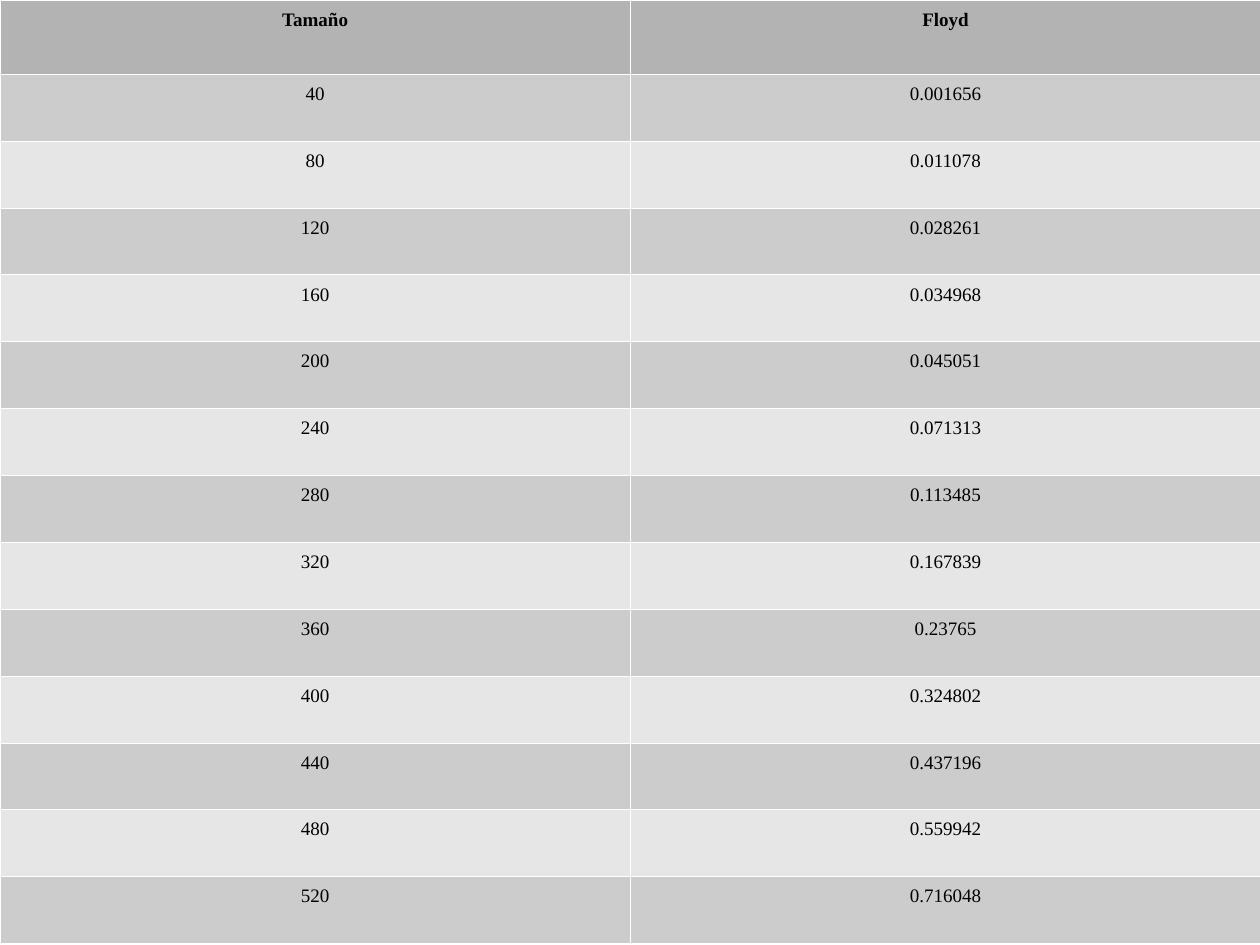
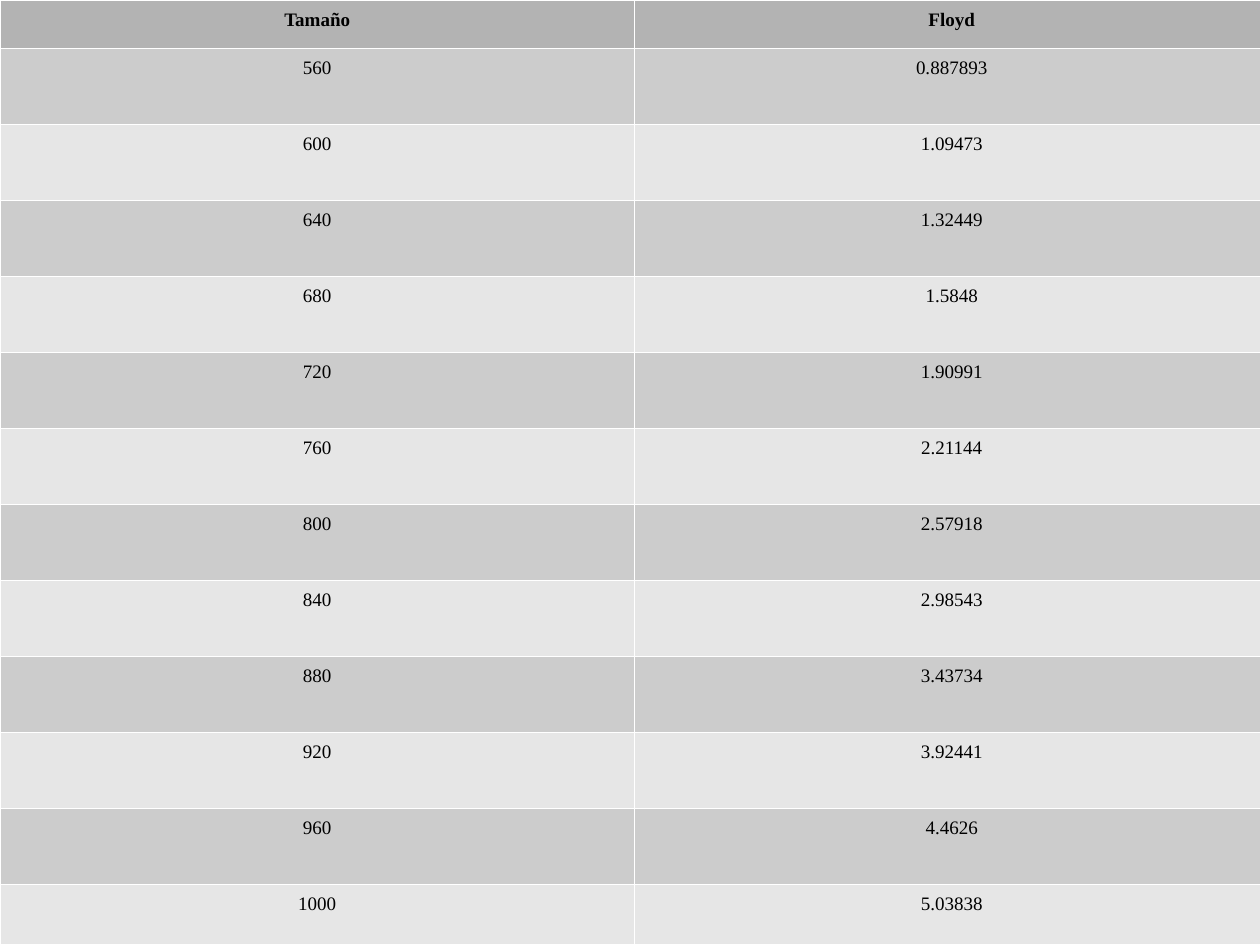
from lxml.etree import SubElement
from pptx import Presentation
from pptx.dml.color import RGBColor
from pptx.enum.text import PP_ALIGN as Align
from pptx.oxml.ns import qn
from pptx.util import Pt

FONT = "Times New Roman"
INK, EDGE = "000000", "FFFFFF"
HEAD, DARK, LIGHT = "B3B3B3", "CCCCCC", "E6E6E6"
TITLES = ("Tamaño", "Floyd")
STEP = 40

SMALL = ("0.001656", "0.011078", "0.028261", "0.034968", "0.045051",
         "0.071313", "0.113485", "0.167839", "0.23765", "0.324802",
         "0.437196", "0.559942", "0.716048")
LARGE = ("0.887893", "1.09473", "1.32449", "1.5848", "1.90991", "2.21144",
         "2.57918", "2.98543", "3.43734", "3.92441", "4.4626", "5.03838")


def color(code):
    return RGBColor.from_string(code)


def add_edges(cell):
    """Draw a hairline on all four sides of the cell."""
    props = cell._tc.get_or_add_tcPr()
    for side in ("lnL", "lnR", "lnT", "lnB"):
        line = SubElement(props, qn(f"a:{side}"), w=str(Pt(0.06)))
        fill = SubElement(line, qn("a:solidFill"))
        SubElement(fill, qn("a:srgbClr"), val=EDGE)


def fill_cell(cell, text, shade, bold):
    add_edges(cell)
    cell.fill.solid()
    cell.fill.fore_color.rgb = color(shade)
    cell.margin_left = cell.margin_right = Pt(7.2)
    cell.margin_top = cell.margin_bottom = Pt(3.6)
    para = cell.text_frame.paragraphs[0]
    para.alignment = Align.CENTER
    para.line_spacing = 1.18
    run = para.add_run()
    run.text = text
    font = run.font
    font.name, font.size, font.bold = FONT, Pt(12), bold
    font.color.rgb = color(INK)


def add_times(deck, first, times, width, heights):
    """Add a slide with a table of times for sizes that rise by STEP."""
    slide = deck.slides.add_slide(deck.slide_layouts[6])
    rows = [TITLES] + [(str(first + STEP * i), time)
                       for i, time in enumerate(times)]
    table = slide.shapes.add_table(len(rows), len(TITLES), 0, 0,
                                   Pt(width), Pt(sum(heights))).table
    table.first_row = table.horz_banding = False
    for col in table.columns:
        col.width = Pt(width / len(TITLES))
    for r, (row, height) in enumerate(zip(rows, heights)):
        table.rows[r].height = Pt(height)
        shade = HEAD if r == 0 else DARK if r % 2 else LIGHT
        for c, text in enumerate(row):
            fill_cell(table.cell(r, c), text, shade, r == 0)


def main():
    deck = Presentation()
    deck.slide_width, deck.slide_height = Pt(793.7), Pt(595.28)
    add_times(deck, 40, SMALL, 794.2, [46.6] + [42.15] * 13)
    add_times(deck, 560, LARGE, 799.4, [30.3] + [47.88] * 11 + [38])
    deck.save("out.pptx")


if __name__ == "__main__":
    main()
